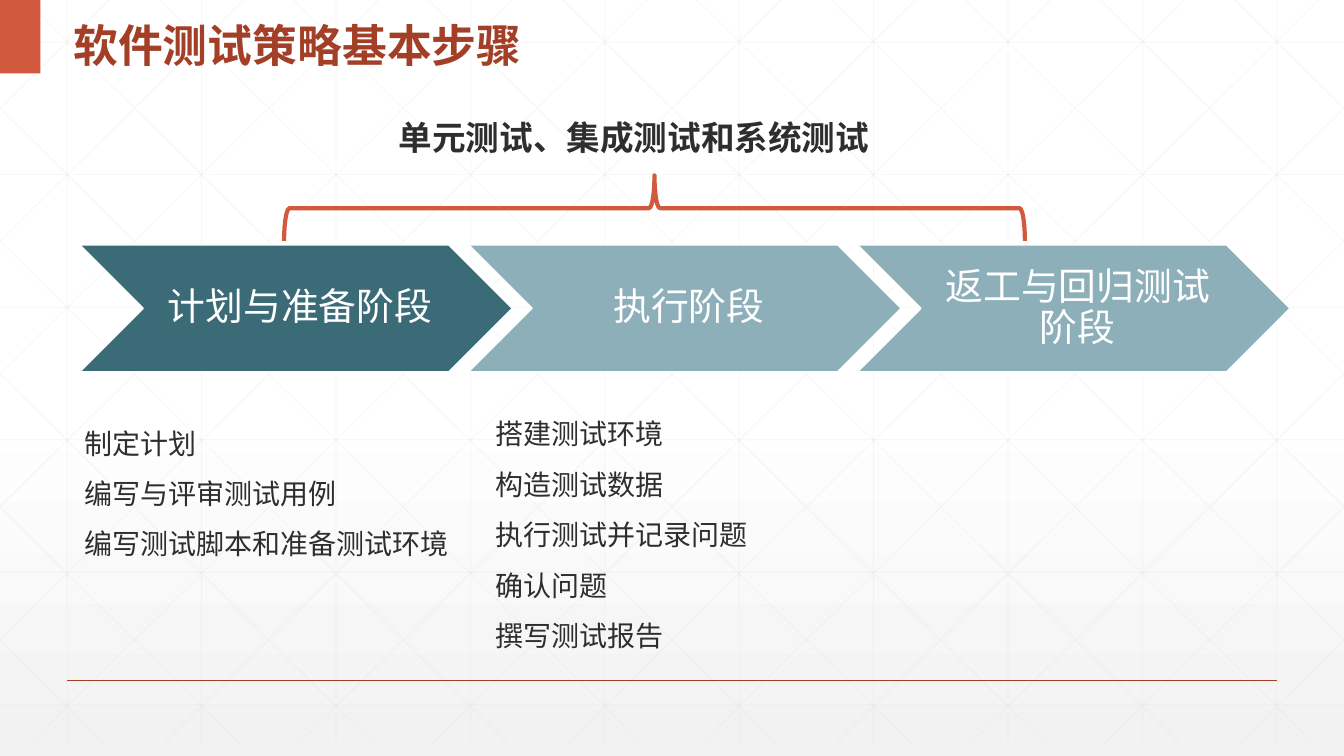
import pptx
import pptx.dml.color
import pptx.enum.shapes
import pptx.enum.text
import pptx.oxml
import pptx.oxml.ns
import pptx.oxml.xmlchemy
import pptx.util
from lxml import etree

Cm = pptx.util.Cm
Pt = pptx.util.Pt
qn = pptx.oxml.ns.qn
Shapes = pptx.enum.shapes.MSO_SHAPE
Anchor = pptx.enum.text.MSO_ANCHOR
Align = pptx.enum.text.PP_ALIGN
AutoSize = pptx.enum.text.MSO_AUTO_SIZE

COLORS = {
    "white": "FFFFFF", "paper": "F2F2F2", "grid": "D9D9D9", "orange": "D15A3E",
    "rust": "A43F27", "teal": "3A6B77", "mist": "8DAFBA", "ink": "2D2E2D",
}
WIDTH, HEIGHT = 33.87, 19.05
CJK_FONT = "Noto Sans CJK SC"
PHASES = [("计划与准备阶段", "teal"), ("执行阶段", "mist"), ("返工与回归测试阶段", "mist")]
PLANNING = ["制定计划", "编写与评审测试用例", "编写测试脚本和准备测试环境"]
EXECUTION = ["搭建测试环境", "构造测试数据", "执行测试并记录问题", "确认问题", "撰写测试报告"]


def rgb(name):
    return pptx.dml.color.RGBColor.from_string(COLORS[name])


def add_line(slide, start, end, color, weight, alpha=None):
    line = slide.shapes.add_connector(
        pptx.enum.shapes.MSO_CONNECTOR.STRAIGHT, *(Cm(value) for value in (*start, *end)))
    line.line.color.rgb = rgb(color)
    line.line.width = Pt(weight)
    if alpha:
        fill_color = line.line._ln.find(".//" + qn("a:srgbClr"))
        etree.SubElement(fill_color, qn("a:alpha")).set("val", str(alpha * 1000))
    etree.SubElement(line._element.spPr, qn("a:effectLst"))


def add_shape(slide, kind, box, fill=None, outline=None, weight=1):
    shape = slide.shapes.add_shape(kind, *(Cm(value) for value in box))
    shape.shadow.inherit = False
    if fill:
        shape.fill.solid()
        shape.fill.fore_color.rgb = rgb(fill)
    else:
        shape.fill.background()
    if outline:
        shape.line.color.rgb = rgb(outline)
        shape.line.width = Pt(weight)
    else:
        shape.line.fill.background()
    return shape


def write_lines(frame, lines, size, color, latin="Arial", bold=False,
                spacing=1.0, align=Align.LEFT, indent=0):
    for index, text in enumerate(lines):
        paragraph = frame.paragraphs[0] if index == 0 else frame.add_paragraph()
        paragraph.text = text
        paragraph.alignment = align
        paragraph.line_spacing = spacing
        if indent:
            paragraph._p.get_or_add_pPr().set("marL", str(Cm(indent)))
        font = paragraph.font
        font.size = Pt(size)
        font.bold = bold
        font.color.rgb = rgb(color)
        font.name = latin
        etree.SubElement(font._element, qn("a:ea")).set("typeface", CJK_FONT)


def add_text(slide, box, lines, wrap=True, **style):
    frame = slide.shapes.add_textbox(*(Cm(value) for value in box)).text_frame
    frame.word_wrap = wrap
    write_lines(frame, lines, **style)
    return frame


def paint_background(slide):
    fill = slide.background.fill
    fill.gradient()
    fill.gradient_angle = 270
    stops = slide.element.find(".//" + qn("a:gsLst"))
    for stop in list(stops):
        stops.remove(stop)
    for position, color, alpha in [(0, "white", 100), (53, "white", 100), (100, "paper", 65)]:
        stop = etree.SubElement(stops, qn("a:gs"), pos=str(position * 1000))
        stop_color = etree.SubElement(stop, qn("a:srgbClr"), val=COLORS[color])
        if alpha < 100:
            etree.SubElement(stop_color, qn("a:alpha"), val=str(alpha * 1000))


def draw_grid(slide, box):
    left, top, width, height = box
    pitch, run = width / 10, 18.94
    slope = height / run
    segments = []
    for column in range(10):
        x = (column + 0.5) * pitch
        segments.append((x, 0, x, height))
    for row in range(6):
        y = 1.06 + row * 3.34
        segments.append((0, y, width, y))
    for step in range(-5, 10):
        origin = 0.63 + step * pitch
        x1, x2 = max(origin, 0), min(origin + run, width)
        y1, y2 = (x1 - origin) * slope, (x2 - origin) * slope
        segments += [(x1, y1, x2, y2), (width - x1, y1, width - x2, y2)]
    for x1, y1, x2, y2 in segments:
        add_line(slide, (left + x1, top + y1), (left + x2, top + y2), "grid", 0.5, 25)


def draw_title(slide, box):
    left, top, width, height = box
    add_shape(slide, Shapes.RECTANGLE, (left, top, 1.02, height), "orange")
    frame = add_text(slide, (left + 1.6, top, width - 1.6, height), ["软件测试策略基本步骤"],
                     size=32, color="rust", latin=CJK_FONT, bold=True, spacing=1.3)
    frame.vertical_anchor = Anchor.MIDDLE


def draw_phases(slide, box):
    left, top, width, height = box
    pitch = 9.8
    chevron_width = width - pitch * (len(PHASES) - 1)
    for index, (name, color) in enumerate(PHASES):
        chevron = add_shape(slide, Shapes.CHEVRON,
                            (left + index * pitch, top, chevron_width, height), color, "white")
        frame = chevron.text_frame
        frame.word_wrap = True
        frame.vertical_anchor = Anchor.MIDDLE
        frame.margin_left = Cm(0.3)
        frame.margin_right = frame.margin_top = frame.margin_bottom = Cm(0.1)
        write_lines(frame, [name], 27, "white", spacing=0.9, align=Align.CENTER)


def draw_steps(slide, box, steps):
    frame = add_text(slide, box, steps, size=20, color="ink", spacing=1.5, indent=1.27)
    frame.auto_size = AutoSize.SHAPE_TO_FIT_TEXT


def draw_scope(slide, box):
    left, top, width, height = box
    frame = add_text(slide, (left + 2.64, top, 12.47, 1.27), ["单元测试、集成测试和系统测试"],
                     wrap=False, size=24, color="ink", bold=True)
    frame.auto_size = AutoSize.SHAPE_TO_FIT_TEXT
    depth = 1.65
    shift = (width - depth) / 2
    brace = add_shape(slide, Shapes.RIGHT_BRACE,
                      (left + shift, top + height - depth - shift, depth, width),
                      outline="orange", weight=3)
    brace.rotation = 270


def main():
    presentation = pptx.Presentation()
    presentation.slide_width = Cm(WIDTH)
    presentation.slide_height = Cm(HEIGHT)
    slide = presentation.slides.add_slide(presentation.slide_layouts[6])
    paint_background(slide)
    draw_grid(slide, (0, 0, WIDTH, 18.73))
    add_line(slide, (1.69, 17.15), (WIDTH - 1.69, 17.15), "rust", 1)
    draw_title(slide, (0, 0, 16.05, 1.85))
    draw_phases(slide, (2.01, 6.17, 30.5, 3.2))
    draw_steps(slide, (0.61, 10.19, 11.58, 3.96), PLANNING)
    draw_steps(slide, (10.97, 9.96, 12.62, 6.68), EXECUTION)
    draw_scope(slide, (7.16, 2.82, 18.67, 3.25))
    presentation.save("out.pptx")


if __name__ == "__main__":
    main()
